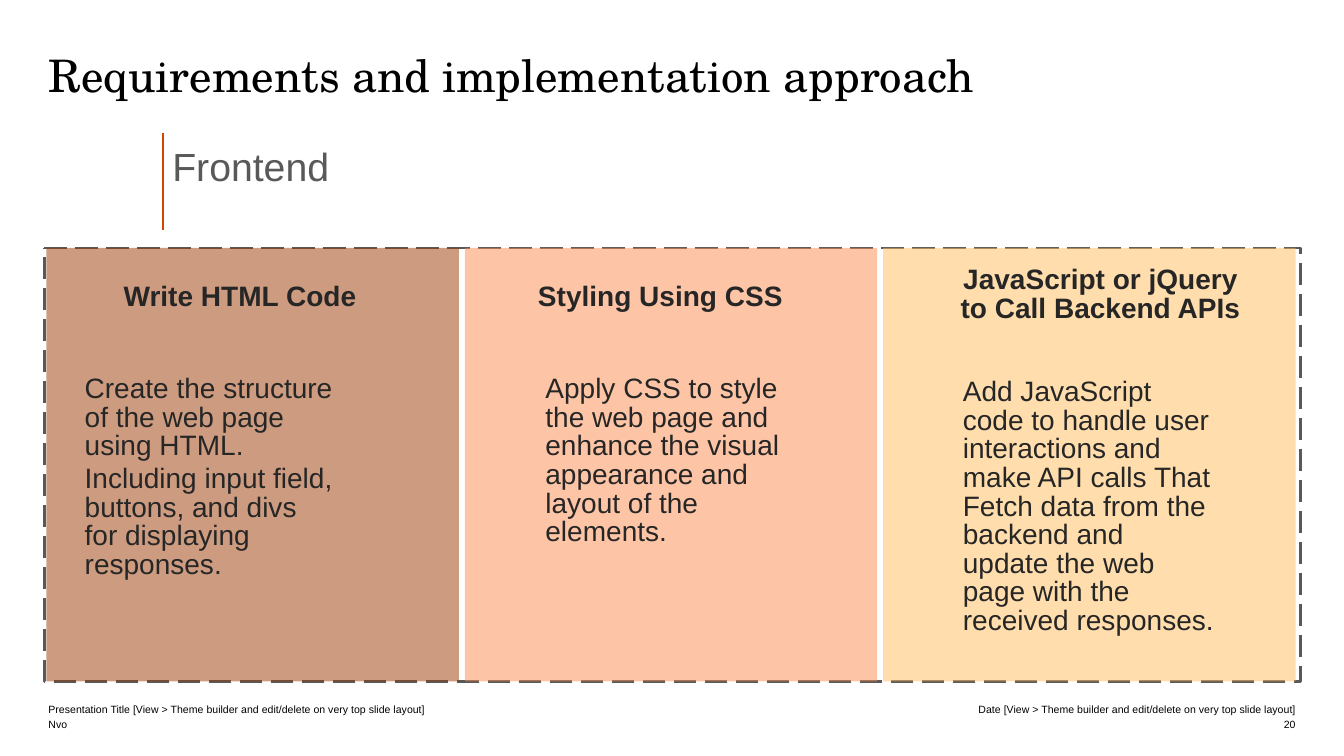
from lxml import etree
from pptx import Presentation
from pptx.dml.color import RGBColor
from pptx.enum.dml import MSO_LINE
from pptx.enum.shapes import MSO_CONNECTOR, MSO_SHAPE
from pptx.enum.text import MSO_ANCHOR, PP_ALIGN
from pptx.oxml.ns import qn
from pptx.util import Pt

LEFT, CENTER, RIGHT = PP_ALIGN.LEFT, PP_ALIGN.CENTER, PP_ALIGN.RIGHT
TOP, BOTTOM = MSO_ANCHOR.TOP, MSO_ANCHOR.BOTTOM
ROUNDED = MSO_SHAPE.ROUNDED_RECTANGLE
PX = 9144  # EMU per px, 100 px to the inch

THEME = {
    "title_font": "TeX Gyre Schola", "body_font": "Arial",
    "title_size": 32, "section_size": 28, "card_size": 20, "footer_size": 7.5,
    "black": "000000", "gray": "595959", "ink": "262626", "accent": "CD4800",
    "cards": ["9C3801", "FD8A4D", "FFBC5A"],
}

presentation = Presentation()
presentation.slide_width, presentation.slide_height = 1333 * PX, 750 * PX
slide = presentation.slides.add_slide(presentation.slide_layouts[6])


def add_text(text, box, *, size, color=THEME["black"], font=THEME["body_font"],
             bold=False, align=LEFT, anchor=TOP, line_spacing=None, space_after=0):
    """Add a text box without margins; each line of text is a paragraph."""
    frame = slide.shapes.add_textbox(*(value * PX for value in box)).text_frame
    frame.word_wrap = True
    frame.vertical_anchor = anchor
    frame.margin_left = frame.margin_top = frame.margin_right = frame.margin_bottom = 0
    frame.text = text
    for paragraph in frame.paragraphs:
        paragraph.alignment = align
        paragraph.line_spacing = line_spacing
        paragraph.space_after = Pt(space_after)
        paragraph.font.name = font
        paragraph.font.size = Pt(size)
        paragraph.font.bold = bold
        paragraph.font.color.rgb = RGBColor.from_string(color)


def add_panel(left, width):
    shape = slide.shapes.add_shape(ROUNDED, left * PX, 246 * PX, width * PX, 430 * PX)
    shape.adjustments[0] = 0
    shape.shadow.inherit = False
    return shape


# Footer
for text, left, top, width, align in [
    ("Nvo", 48, 710, 599, LEFT),
    ("Presentation Title [View > Theme builder and edit/delete on very top slide layout]",
     48, 695, 599, LEFT),
    ("Date [View > Theme builder and edit/delete on very top slide layout]",
     899, 695, 386, RIGHT),
    ("20", 899, 710, 386, RIGHT),
]:
    add_text(text, (left, top, width, 15), size=THEME["footer_size"],
             align=align, anchor=BOTTOM)

# Title and section heading
add_text("Requirements and implementation approach", (48, 47, 1236, 55),
         size=THEME["title_size"], font=THEME["title_font"])

section_rule = slide.shapes.add_connector(
    MSO_CONNECTOR.STRAIGHT, 162 * PX, 132 * PX, 162 * PX, 228 * PX)
section_rule.line.color.rgb = RGBColor.from_string(THEME["accent"])
section_rule.line.width = Pt(1.5)
etree.SubElement(section_rule._element.spPr, qn("a:effectLst"))

compact = {"line_spacing": 0.85, "space_after": 3}
add_text("Frontend", (171, 148, 250, 52), size=THEME["section_size"],
         color=THEME["gray"], **compact)

# Dashed frame around the cards
dashed_frame = add_panel(44, 1246)
dashed_frame.fill.background()
dashed_frame.line.color.rgb = RGBColor.from_string(THEME["gray"])
dashed_frame.line.width = Pt(2)
dashed_frame.line.dash_style = MSO_LINE.LONG_DASH

# Cards: heading, heading box, body, body box
cards = [
    ("Write HTML Code", (113, 281, 250, 52),
     "Create the structure of the web page using HTML.\n"
     "Including input field, buttons, and divs for displaying responses.",
     (84, 373, 250, 285)),
    ("Styling Using CSS", (530, 281, 250, 52),
     "Apply CSS to style the web page and enhance the visual appearance "
     "and layout of the elements.",
     (541, 373, 250, 285)),
    ("JavaScript or jQuery to Call Backend APIs", (950, 265, 283, 52),
     "Add JavaScript code to handle user interactions and make API calls That "
     "Fetch data from the backend and update the web page with the received responses.",
     (955, 376, 250, 285)),
]
card_text = {"size": THEME["card_size"], "color": THEME["ink"], **compact}
for index, (heading, heading_box, body, body_box) in enumerate(cards):
    card = add_panel(46 + index * 415, 409)
    card.fill.solid()
    card.fill.fore_color.rgb = RGBColor.from_string(THEME["cards"][index])
    card.line.fill.background()
    fill_color = card._element.spPr.find(qn("a:solidFill")).find(qn("a:srgbClr"))
    etree.SubElement(fill_color, qn("a:alpha"), val="50000")
    add_text(heading, heading_box, bold=True, align=CENTER, **card_text)
    add_text(body, body_box, **card_text)

presentation.save("out.pptx")
